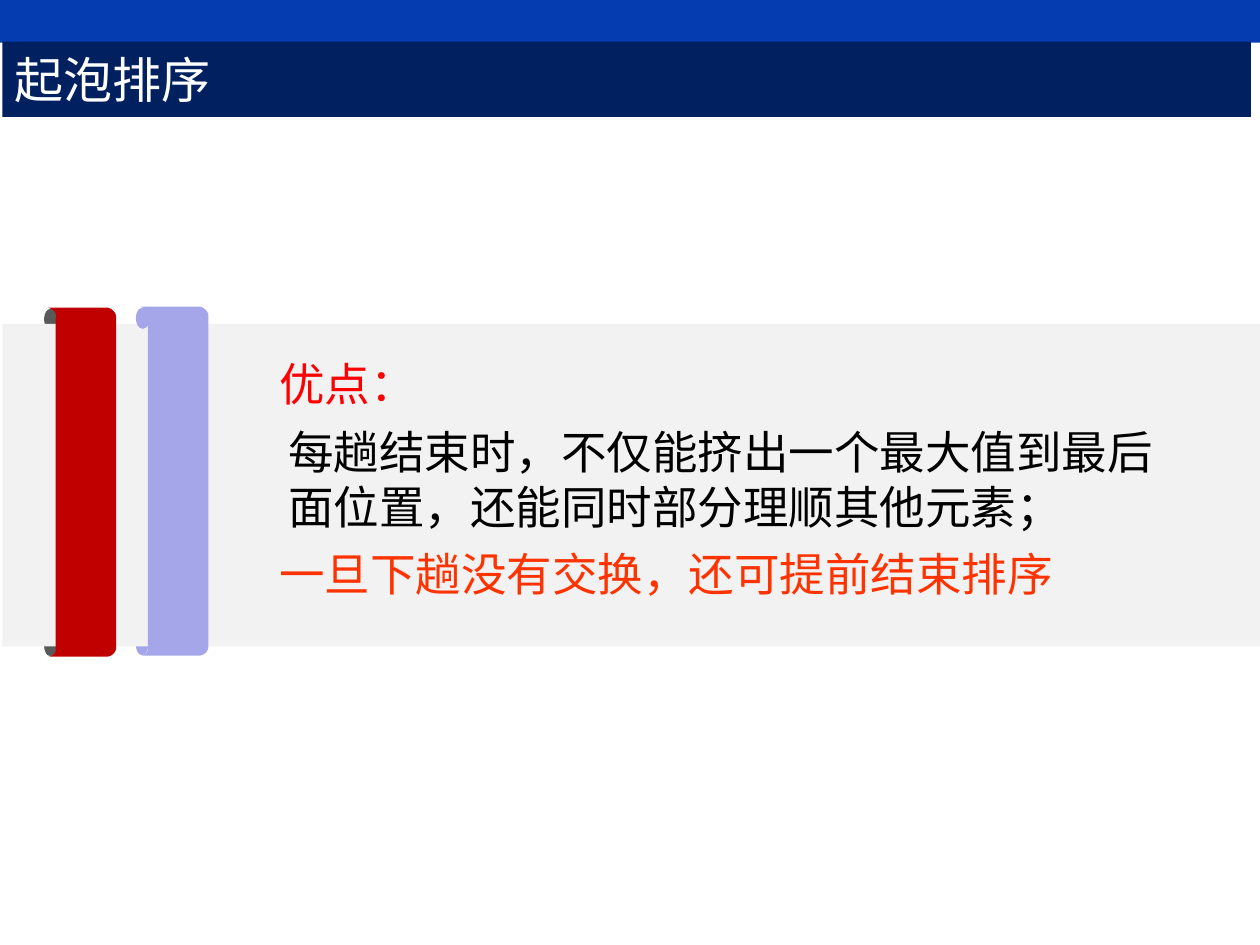
import dataclasses
import typing

import pptx
import pptx.dml.color
import pptx.enum.shapes
import pptx.enum.text
import pptx.util

Cm = pptx.util.Cm
Kind = pptx.enum.shapes.MSO_SHAPE
Point = tuple[float, float]


@dataclasses.dataclass
class Block:
    kind: typing.Any
    left: float
    top: float
    width: float
    height: float
    fill: str


@dataclasses.dataclass
class Line:
    text: str
    color: str
    indent: float


NAVY, GRAY, RED, LILAC, WHITE = "002060", "595959", "C00000", "A5A5E9", "FFFFFF"
HEAD = Block(Kind.RECTANGLE, 0.05, 0.84, 25.17, 1.52, NAVY)
BACK = [
    Block(Kind.RECTANGLE, 0, 0, 25.4, 0.86, "053CAF"),
    Block(Kind.OVAL, 2.74, 12.78, 0.25, 0.43, LILAC),
    Block(Kind.OVAL, 0.89, 12.8, 0.25, 0.43, GRAY),
    Block(Kind.OVAL, 0.89, 6.22, 0.28, 0.43, GRAY),
    Block(Kind.RECTANGLE, 0.05, 6.53, 25.35, 6.5, "F2F2F2"),
]
CURL = Block(Kind.OVAL, 2.74, 6.2, 0.28, 0.43, LILAC)
CURVES = [
    [(0.15, 0.25), (0.23, 0), (-0.1, 0), (0.03, 0)],
    [(1.17, 0), (1.27, 0), (1.37, 0.1), (1.37, 0.18)],
    [(1.37, 6.86), (1.37, 6.96), (1.27, 7.04), (1.17, 7.04)],
    [(0.05, 7.04), (-0.05, 7.04), (0.18, 7.04), (0.15, 6.86)],
]
LINES = [
    Line("优点：", "FF0000", 0.81),
    Line("每趟结束时，不仅能挤出一个最大值到最后面位置，还能同时部分理顺其他元素；", "000000", 0.99),
    Line("一旦下趟没有交换，还可提前结束排序", "FF3300", 0.81),
]


def rgb(code: str) -> pptx.dml.color.RGBColor:
    return pptx.dml.color.RGBColor.from_string(code)


def paint(shape, fill: str) -> None:
    shape.shadow.inherit = False
    shape.fill.solid()
    shape.fill.fore_color.rgb = rgb(fill)
    shape.line.fill.background()


def draw(slide, block: Block):
    shape = slide.shapes.add_shape(
        block.kind, Cm(block.left), Cm(block.top), Cm(block.width), Cm(block.height))
    paint(shape, block.fill)
    return shape


def bend(curve: list[Point], steps: int = 12) -> list[Point]:
    points = []
    for step in range(steps + 1):
        t = step / steps
        parts = ((1 - t) ** 3, 3 * t * (1 - t) ** 2, 3 * t * t * (1 - t), t ** 3)
        points.append(tuple(
            sum(part * point[axis] for part, point in zip(parts, curve))
            for axis in (0, 1)))
    return points


def ribbon(slide, left: float, top: float, fill: str) -> None:
    points = [(Cm(left + x), Cm(top + y)) for curve in CURVES for x, y in bend(curve)]
    pen = slide.shapes.build_freeform(*points[0])
    pen.add_line_segments(points[1:], close=True)
    paint(pen.convert_to_shape(), fill)


def write(para, text: str, *, size: float, color: str, indent: float = 0,
          before: float = 0) -> None:
    props = para._p.get_or_add_pPr()
    props.set("marL", str(Cm(indent)))
    props.set("indent", "0")
    para.alignment = pptx.enum.text.PP_ALIGN.LEFT
    para.space_before = pptx.util.Pt(before)
    run = para.add_run()
    run.text = text
    run.font.name = "Calibri"
    run.font.size = pptx.util.Pt(size)
    run.font.color.rgb = rgb(color)


def main() -> None:
    deck = pptx.Presentation()
    deck.slide_width, deck.slide_height = Cm(25.4), Cm(19.05)
    slide = deck.slides.add_slide(deck.slide_layouts[6])

    for block in BACK:
        draw(slide, block)
    title = draw(slide, HEAD).text_frame
    title.vertical_anchor = pptx.enum.text.MSO_ANCHOR.MIDDLE
    write(title.paragraphs[0], "起泡排序", size=28, color=WHITE)

    ribbon(slide, 0.97, 6.2, RED)
    draw(slide, CURL)
    ribbon(slide, 2.83, 6.18, LILAC)

    box = slide.shapes.add_textbox(Cm(4.57), Cm(7.06), Cm(19.71), Cm(5.36))
    frame = box.text_frame
    frame.word_wrap = True
    for i, line in enumerate(LINES):
        para = frame.add_paragraph() if i else frame.paragraphs[0]
        write(para, line.text, size=26, color=line.color, indent=line.indent,
              before=7.5 if i else 0)

    deck.save("out.pptx")


if __name__ == "__main__":
    main()
